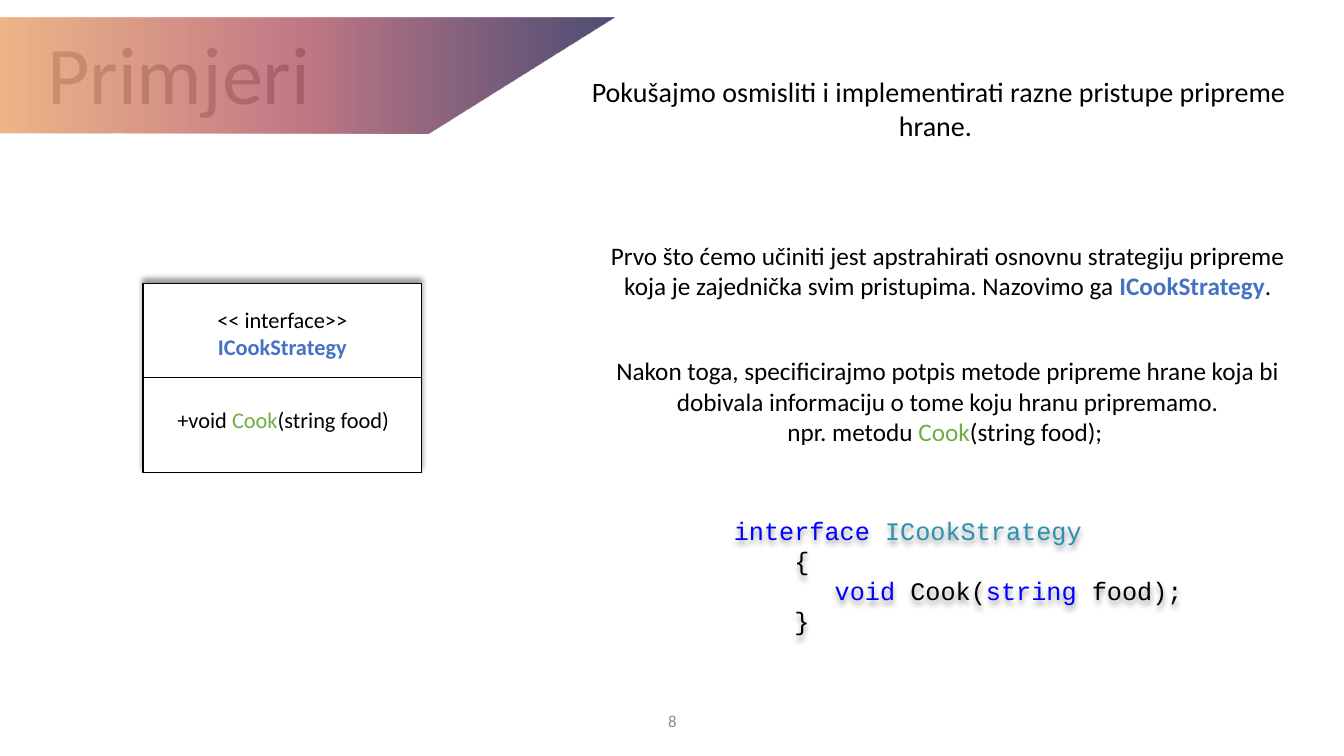
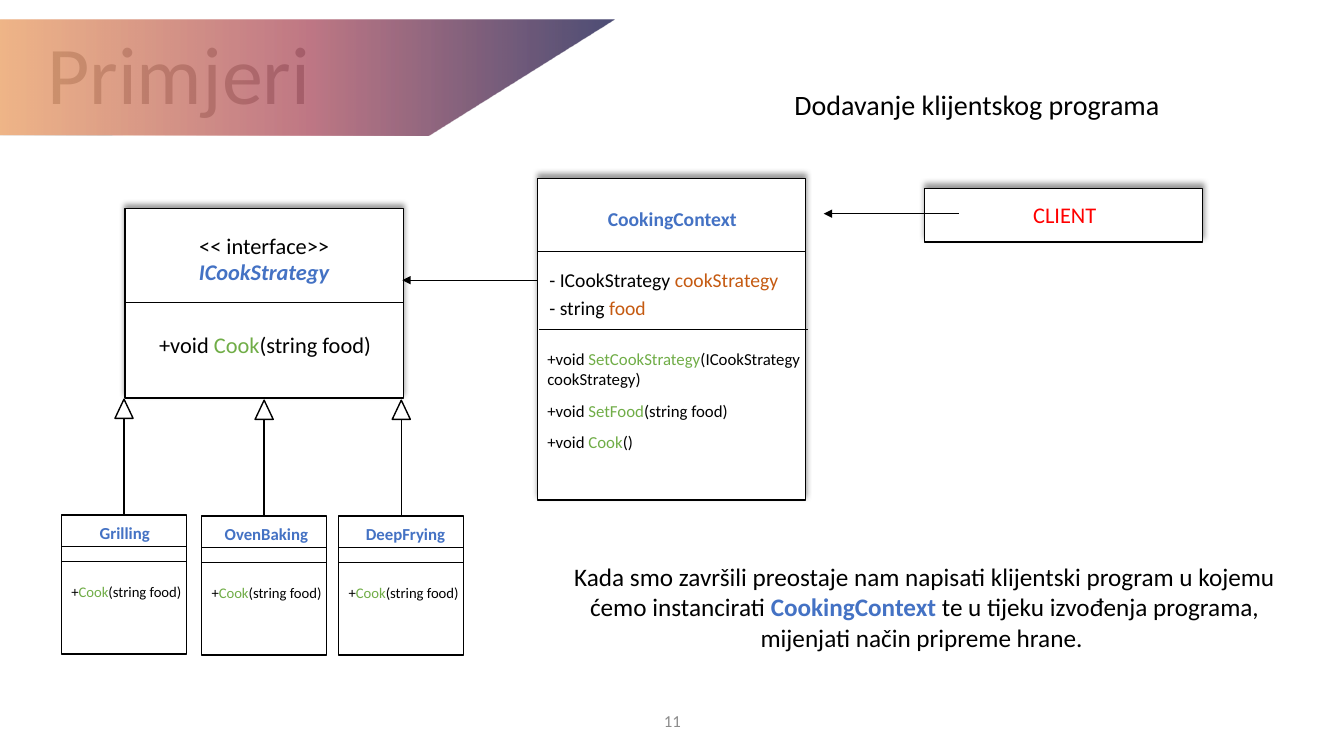
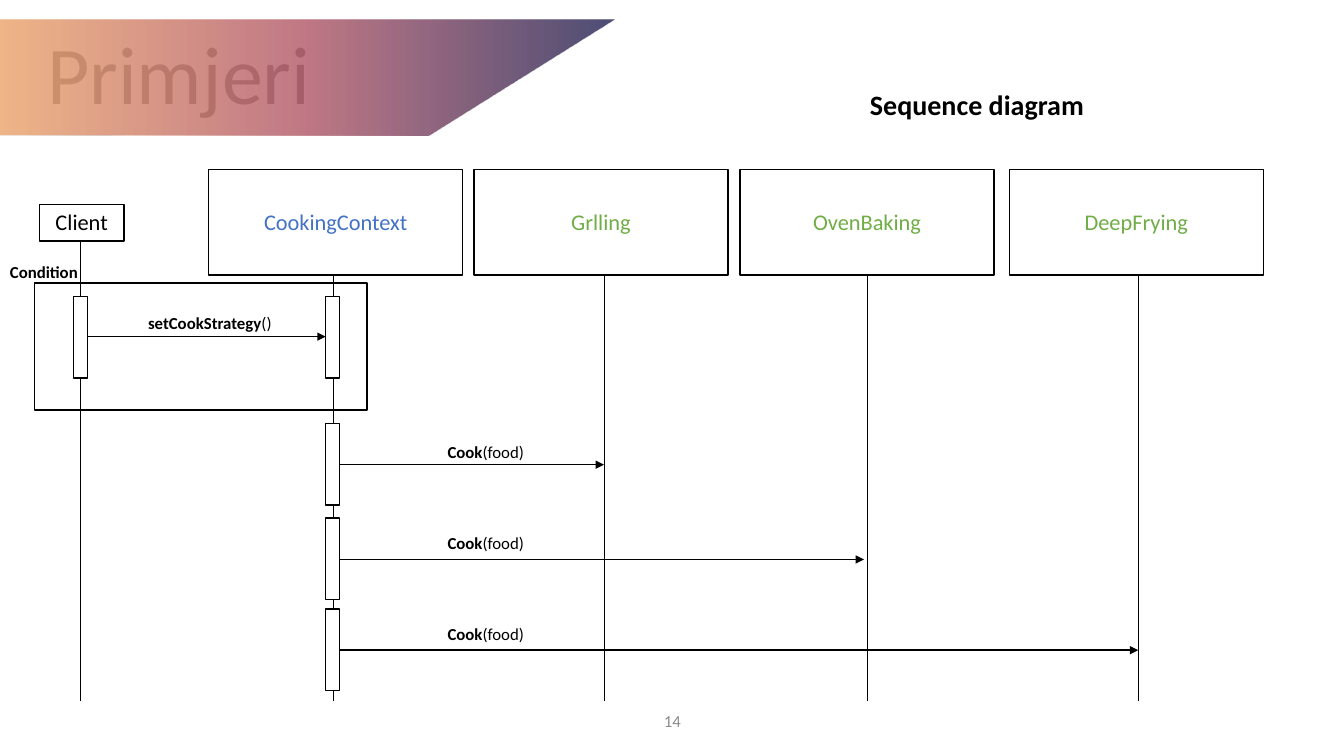
from pptx import Presentation
from pptx.dml.color import RGBColor
from pptx.enum.shapes import MSO_CONNECTOR, MSO_SHAPE
from pptx.enum.text import MSO_ANCHOR, MSO_AUTO_SIZE, PP_ALIGN
from pptx.oxml import parse_xml
from pptx.oxml.ns import nsdecls, qn
from pptx.util import Emu, Inches, Pt

CELL = Inches(0.1)
COLUMNS, ROWS = 133.3, 75
BLACK, WHITE, GREY, PALE = "000000", "FFFFFF", "8C8C8C", "A5A5A5"
BLUE, GREEN, ORANGE, RED = "4472C4", "70AD47", "C55A11", "FF0000"
KEYWORD, TYPE = "0000FF", "2B91AF"
BANNER_STOPS = [(0, "01023B"), (50, "A53F52"), (100, "E99757")]
LEFT, CENTER = PP_ALIGN.LEFT, PP_ALIGN.CENTER


def cells(count):
    """Turn a number of grid cells into a length."""
    return Emu(round(count * CELL))


def colour(code):
    """Turn a hex string into a colour."""
    return RGBColor.from_string(code)


def add_shadow(shape, degrees):
    """Give a shape a soft shadow in one direction."""
    shape.shadow.inherit = False
    effects = shape._element.spPr.find(qn("a:effectLst"))
    effects.append(parse_xml(
        f'<a:outerShdw {nsdecls("a")} blurRad="50800" dist="38100" dir="{degrees * 60000}" '
        'algn="t" rotWithShape="0"><a:srgbClr val="000000"><a:alpha val="40000"/>'
        '</a:srgbClr></a:outerShdw>'))


def add_panel(page, box, shadow=False, filled=True, kind=MSO_SHAPE.RECTANGLE):
    """Draw a black-edged shape."""
    panel = page.shapes.add_shape(kind, *map(cells, box))
    if filled:
        panel.fill.solid()
        panel.fill.fore_color.rgb = colour(WHITE)
    else:
        panel.fill.background()
    panel.line.color.rgb = colour(BLACK)
    panel.line.width = Pt(1)
    panel.shadow.inherit = False
    if shadow:
        add_shadow(panel, 270)


def add_line(page, start, end, width=0.5, arrow=False):
    """Draw a straight line, with an arrowhead at its end if asked."""
    line = page.shapes.add_connector(MSO_CONNECTOR.STRAIGHT, *map(cells, start + end))
    line.line.color.rgb = colour(BLACK)
    line.line.width = Pt(width)
    properties = line._element.spPr
    if arrow:
        properties.find(qn("a:ln")).append(
            parse_xml(f'<a:tailEnd {nsdecls("a")} type="triangle"/>'))
    properties.append(parse_xml(f'<a:effectLst {nsdecls("a")}/>'))


def add_text(page, box, paragraphs, size, align=LEFT, font="Calibri", anchor=MSO_ANCHOR.TOP):
    """Write paragraphs of (text, colour, flags) spans."""
    text_box = page.shapes.add_textbox(*map(cells, box))
    frame = text_box.text_frame
    frame.word_wrap = True
    frame.vertical_anchor = anchor
    for index, spans in enumerate(paragraphs):
        para = frame.add_paragraph() if index else frame.paragraphs[0]
        para.alignment = align
        for text, code, *flags in spans:
            span = para.add_run()
            span.text = text
            span.font.name = font
            span.font.size = Pt(size)
            span.font.color.rgb = colour(code)
            span.font.bold = "bold" in flags
            span.font.italic = "italic" in flags
    return text_box


def add_banner(page, top):
    """Draw the slanted see-through band over the title."""
    points = [(cells(x), cells(top + y)) for x, y in [(0, 0), (60.9, 0), (42.4, 11.5), (0, 11.4)]]
    builder = page.shapes.build_freeform(*points[0])
    builder.add_line_segments(points[1:], close=True)
    banner = builder.convert_to_shape()
    banner.shadow.inherit = False
    banner.line.fill.background()
    banner.fill.background()
    stops = "".join(
        f'<a:gs pos="{place * 1000}"><a:srgbClr val="{code}"><a:alpha val="70000"/></a:srgbClr></a:gs>'
        for place, code in BANNER_STOPS)
    properties = banner._element.spPr
    properties.replace(properties.find(qn("a:noFill")), parse_xml(
        f'<a:gradFill {nsdecls("a")} rotWithShape="1"><a:gsLst>{stops}</a:gsLst>'
        '<a:lin ang="10800000" scaled="0"/></a:gradFill>'))


def add_page(deck, number, banner_top=1.9):
    """Start a slide with its title, banner and number."""
    page = deck.slides.add_slide(deck.slide_layouts[5])
    title = page.shapes.title
    title.left, title.top, title.width, title.height = map(cells, (1.4, 2.2, 32.7, 10.4))
    frame = title.text_frame
    frame.text = "Primjeri"
    frame.auto_size = MSO_AUTO_SIZE.NONE
    frame.vertical_anchor = MSO_ANCHOR.BOTTOM
    para = frame.paragraphs[0]
    para.alignment = CENTER
    para.line_spacing = 0.9
    font = para.runs[0].font
    font.name, font.size = "Calibri", Pt(58.5)
    font.color.rgb = colour(PALE)
    add_banner(page, banner_top)
    add_text(page, (44.2, 69.5, 45, 4), [[(number, GREY)]], 12, CENTER, anchor=MSO_ANCHOR.MIDDLE)
    return page


def add_heading(page, box, text, *flags):
    """Write the heading to the right of the banner."""
    add_text(page, box, [[(text, BLACK, *flags)]], 20, CENTER)


def method(name, arguments, prefix="+void "):
    """Return the spans of a method signature."""
    return [(prefix, BLACK), (name, GREEN), (arguments, BLACK)]


def add_interface(page, left, top, *flags):
    """Draw the interface card."""
    width = 27.6
    add_panel(page, (left, top, width, 18.8), shadow=True)
    add_line(page, (left, top + 9.3), (left + width, top + 9.3))
    add_text(page, (left + 2.4, top + 11.7, 24.5, 3.7), [method("Cook", "(string food)")], 16)
    add_text(page, (left + 4.7, top + 1.8, 18.2, 6.4),
             [[("<< interface>>", BLACK)], [("ICookStrategy", BLUE, "bold", *flags)]], 16, CENTER)


def add_context(page, left, top):
    """Draw the context card with its fields and methods."""
    width = 26.6
    add_panel(page, (left, top, width, 31.9), shadow=True)
    for indent, row in [(0, 7.2), (0.2, 15)]:
        add_line(page, (left + indent, top + row), (left + indent + width, top + row))
    add_text(page, (left + 6, top + 2.3, 16.3, 3.4), [[("CookingContext", BLUE, "bold")]], 14)
    for row, kind, field in [(8.4, "- ICookStrategy ", "cookStrategy"), (11.2, "- string ", "food")]:
        add_text(page, (left + 0.2, top + row, 25.5, 3.4), [[(kind, BLACK), (field, ORANGE)]], 14)
    for row, height, name, arguments in [
            (16.4, 5, "SetCookStrategy", "(ICookStrategy cookStrategy)"),
            (21.6, 3, "SetFood", "(string food)"),
            (24.6, 3, "Cook", "()")]:
        add_text(page, (left, top + row, 28.4, height), [method(name, arguments)], 12)


def add_strategy(page, left, top, name, indent):
    """Draw a strategy card and its inheritance arrow."""
    width = 12.4
    middle = left + width / 2
    add_panel(page, (left, top, width, 13.8))
    add_text(page, (left, top + 6.2, 13.6, 2.8), [method("Cook", "(string food)", "+")], 10.5)
    add_text(page, (left + indent, top + 0.3, 10.5, 3), [[(name, BLUE, "bold")]], 12)
    add_line(page, (middle, top), (middle, top - 9.6), 1)
    add_panel(page, (middle - 0.9, top - 11.5, 1.8, 1.9), kind=MSO_SHAPE.ISOSCELES_TRIANGLE)
    for row in (3.1, 4.6):
        add_line(page, (left, top + row), (left + width, top + row))


def add_participant(page, box, name, code, line_column):
    """Draw a sequence participant and its lifeline."""
    left, top, width, height = box
    add_panel(page, box)
    add_text(page, (left, 20.2, width, 3.7), [[(name, code)]], 16, CENTER)
    add_line(page, (line_column, top + height), (line_column, 69.5))


def add_activation(page, left, top):
    """Draw an activation bar."""
    add_panel(page, (left, top, 1.4, 8.1))


def add_message(page, start, end, row, label, label_box):
    """Draw a call arrow with its label."""
    add_line(page, (start, row), (end, row), 1, arrow=True)
    name, arguments = label
    add_text(page, label_box, [[(name, BLACK, "bold"), (arguments, BLACK)]], 12)


def build_interface_page(deck):
    """Build the slide that introduces the interface."""
    page = add_page(deck, "8", 1.7)
    add_interface(page, 14.2, 28.1)
    add_heading(page, (56.6, 6.9, 73, 7.7),
                "Pokušajmo osmisliti i implementirati razne pristupe pripreme hrane. ")
    add_text(page, (57.5, 23.3, 73, 7.1), [[
        ("Prvo što ćemo učiniti jest apstrahirati osnovnu strategiju pripreme koja je "
         "zajednička svim pristupima. Nazovimo ga ", BLACK),
        ("ICookStrategy", BLUE, "bold"), (".", BLACK)]], 18, CENTER)
    add_text(page, (57.5, 34.8, 73, 10.1), [
        [("Nakon toga, specificirajmo potpis metode pripreme hrane koja bi dobivala "
          "informaciju o tome koju hranu pripremamo.", BLACK)],
        method("Cook", "(string food); ", "npr. metodu ")], 18, CENTER)
    code = add_text(page, (71.8, 50.6, 51.1, 13.1), [
        [("interface ", KEYWORD), ("ICookStrategy", TYPE)],
        [("{", BLACK)],
        [("void ", KEYWORD), ("Cook(", BLACK), ("string ", KEYWORD), ("food);", BLACK)],
        [("}", BLACK)]], 18, font="Courier New")
    for para, indent in zip(code.text_frame.paragraphs, (0, 6, 10, 6)):
        para._p.get_or_add_pPr().set("marL", str(cells(indent)))
    add_shadow(code, 90)


def build_class_page(deck):
    """Build the class diagram slide."""
    page = add_page(deck, "11")
    add_heading(page, (60.4, 8.2, 73, 4.4), "Dodavanje klijentskog programa")
    add_context(page, 53.3, 17.7)
    add_panel(page, (91.7, 18.7, 27.6, 5.3), shadow=True)
    add_text(page, (96.5, 19.5, 18.2, 3.7), [[("CLIENT", RED)]], 16, CENTER)
    add_interface(page, 12.4, 20.7, "italic")
    for start, end, row in [(53.3, 39.9, 27.8), (95.1, 81.7, 21.2)]:
        add_line(page, (start, row), (end, row), 1, arrow=True)
    for left, top, name, indent in [(6.1, 51.1, "Grilling", 2.8), (20, 51.2, "OvenBaking", 1.3),
                                    (33.6, 51.2, "DeepFrying", 1.7)]:
        add_strategy(page, left, top, name, indent)
    add_text(page, (55.2, 55.2, 73, 10.1), [[
        ("Kada smo završili preostaje nam napisati klijentski program u kojemu ćemo "
         "instancirati ", BLACK), ("CookingContext", BLUE, "bold"),
        (" te u tijeku izvođenja programa, mijenjati način pripreme hrane. ", BLACK)]], 18, CENTER)


def build_sequence_page(deck):
    """Build the sequence diagram slide."""
    page = add_page(deck, "14")
    add_heading(page, (60.4, 8.2, 73, 4.4), "Sequence diagram", "bold")
    add_participant(page, (3.9, 20.3, 8.4, 3.6), "Client", BLACK, 8)
    for left, name, code, line_column in [
            (20.7, "CookingContext", BLUE, 33.1), (47, "Grlling", GREEN, 59.9),
            (73.4, "OvenBaking", GREEN, 86), (100.1, "DeepFrying", GREEN, 112.9)]:
        add_participant(page, (left, 16.8, 25.2, 10.5), name, code, line_column)
    for left in (7.3, 32.3):
        add_activation(page, left, 29.4)
    add_message(page, 8.7, 32.3, 33.4, ("setCookStrategy", "()"), (13.7, 30.5, 15, 3))
    add_panel(page, (3.4, 28.1, 33, 12.6), filled=False)
    add_text(page, (0, 25.5, 10.5, 3), [[("Condition", BLACK, "bold")]], 12)
    for top, label_top, end in [(42, 43.3, 59.9), (51.4, 52.4, 85.7), (60.4, 61.4, 112.9)]:
        add_activation(page, 32.3, top)
        add_message(page, 33.7, end, top + 4.1, ("Cook", "(food)"), (43.4, label_top, 10.1, 3))


def main():
    """Build and save the deck."""
    deck = Presentation()
    deck.slide_width, deck.slide_height = cells(COLUMNS), cells(ROWS)
    build_interface_page(deck)
    build_class_page(deck)
    build_sequence_page(deck)
    deck.save("out.pptx")


if __name__ == "__main__":
    main()
